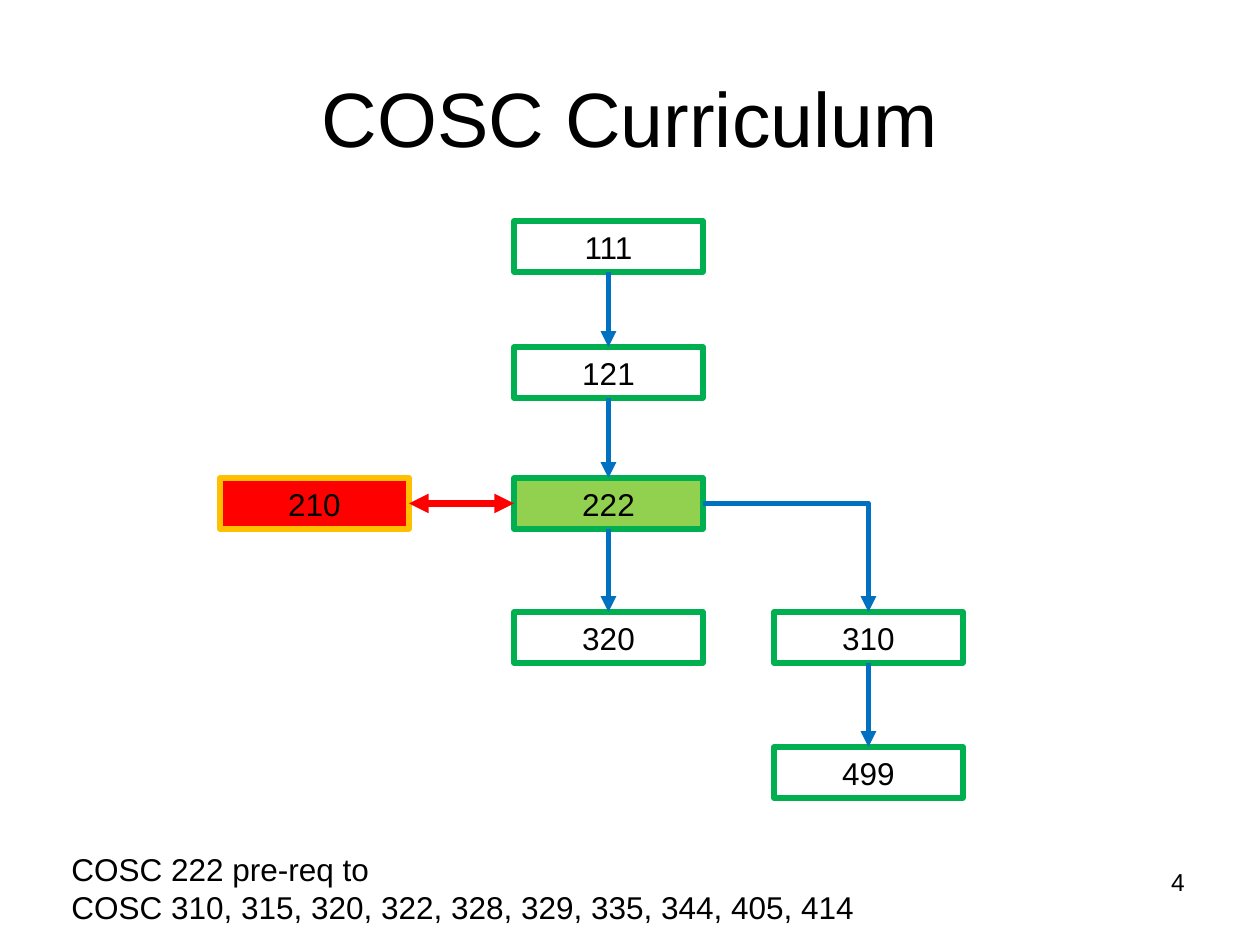
from lxml import etree
from pptx import Presentation
from pptx import util as u
from pptx.dml.color import RGBColor
from pptx.enum import shapes, text
from pptx.oxml.ns import qn

PX = 914400 / 126
THEME = {
    "font": "Arial", "ink": "000000", "green": "00B050", "lime": "92D050",
    "red": "FF0000", "amber": "FFC000", "blue": "0070C0",
    "title": 44, "body": 18, "number": 14,
}


def px(*values):
    return [u.Emu(round(v * PX)) for v in values]


def write(tf, lines, size, align, **frame):
    for name, value in frame.items():
        setattr(tf, name, value)
    for i, line in enumerate(lines):
        p = tf.paragraphs[0] if i == 0 else tf.add_paragraph()
        p.alignment = align
        r = p.add_run()
        r.text = line
        for name, value in {"name": THEME["font"], "size": u.Pt(THEME[size])}.items():
            setattr(r.font, name, value)
        r.font.color.rgb = RGBColor.from_string(THEME["ink"])


prs = Presentation()
prs.slide_width, prs.slide_height = px(1260, 945)
slide = prs.slides.add_slide(prs.slide_layouts[5])
left, center, right = text.PP_ALIGN.LEFT, text.PP_ALIGN.CENTER, text.PP_ALIGN.RIGHT
middle = text.MSO_ANCHOR.MIDDLE

title = slide.shapes.title
title.left, title.top, title.width, title.height = px(63, 38, 1134, 158)
write(title.text_frame, ["COSC Curriculum"], "title", center, vertical_anchor=middle)

columns = [220, 514, 774]
rows = [221, 347, 478, 612, 747]
courses = [
    ("111", 1, 0, None, "green"),
    ("121", 1, 1, None, "green"),
    ("222", 1, 2, "lime", "green"),
    ("320", 1, 3, None, "green"),
    ("310", 2, 3, None, "green"),
    ("499", 2, 4, None, "green"),
    ("210", 0, 2, "red", "amber"),
]
boxes = {}
for course, column, row, fill, line in courses:
    sp = slide.shapes.add_shape(
        shapes.MSO_SHAPE.RECTANGLE, *px(columns[column], rows[row], 189, 51))
    sp.shadow.inherit = False
    if fill:
        sp.fill.solid()
        sp.fill.fore_color.rgb = RGBColor.from_string(THEME[fill])
    else:
        sp.fill.background()
    sp.line.color.rgb = RGBColor.from_string(THEME[line])
    sp.line.width = u.Pt(3)
    write(sp.text_frame, [course], "body", center, vertical_anchor=middle, word_wrap=True)
    boxes[course] = sp

TOP, LEFT, BOTTOM, RIGHT = range(4)
links = [
    ("111", BOTTOM, "121", TOP, "blue", 3, ["tailEnd"]),
    ("121", BOTTOM, "222", TOP, "blue", 3, ["tailEnd"]),
    ("222", BOTTOM, "320", TOP, "blue", 3, ["tailEnd"]),
    ("222", RIGHT, "310", TOP, "blue", 3, ["tailEnd"]),
    ("310", BOTTOM, "499", TOP, "blue", 3, ["tailEnd"]),
    ("210", RIGHT, "222", LEFT, "red", 3.75, ["headEnd", "tailEnd"]),
]
for start, start_site, end, end_site, color, width, arrows in links:
    bent = start_site == RIGHT and end_site == TOP
    kind = shapes.MSO_CONNECTOR.ELBOW if bent else shapes.MSO_CONNECTOR.STRAIGHT
    link = slide.shapes.add_connector(kind, 0, 0, 0, 0)
    link.begin_connect(boxes[start], start_site)
    link.end_connect(boxes[end], end_site)
    link.line.color.rgb = RGBColor.from_string(THEME[color])
    link.line.width = u.Pt(width)
    props = link._element.spPr
    if bent:
        props.find(qn("a:prstGeom")).set("prst", "bentConnector2")
    for arrow in arrows:
        etree.SubElement(props.find(qn("a:ln")), qn("a:" + arrow), type="triangle")
    etree.SubElement(props, qn("a:effectLst"))

notes = [
    (["COSC 222 pre-req to", "COSC 310, 315, 320, 322, 328, 329, 335, 344, 405, 414"],
     (59, 844, 815, 89), "body", left, False),
    (["4"], (903, 861, 294, 66), "number", right, True),
]
for lines, area, size, align, wrap in notes:
    box = slide.shapes.add_textbox(*px(*area))
    write(box.text_frame, lines, size, align, word_wrap=wrap)

prs.save("out.pptx")
